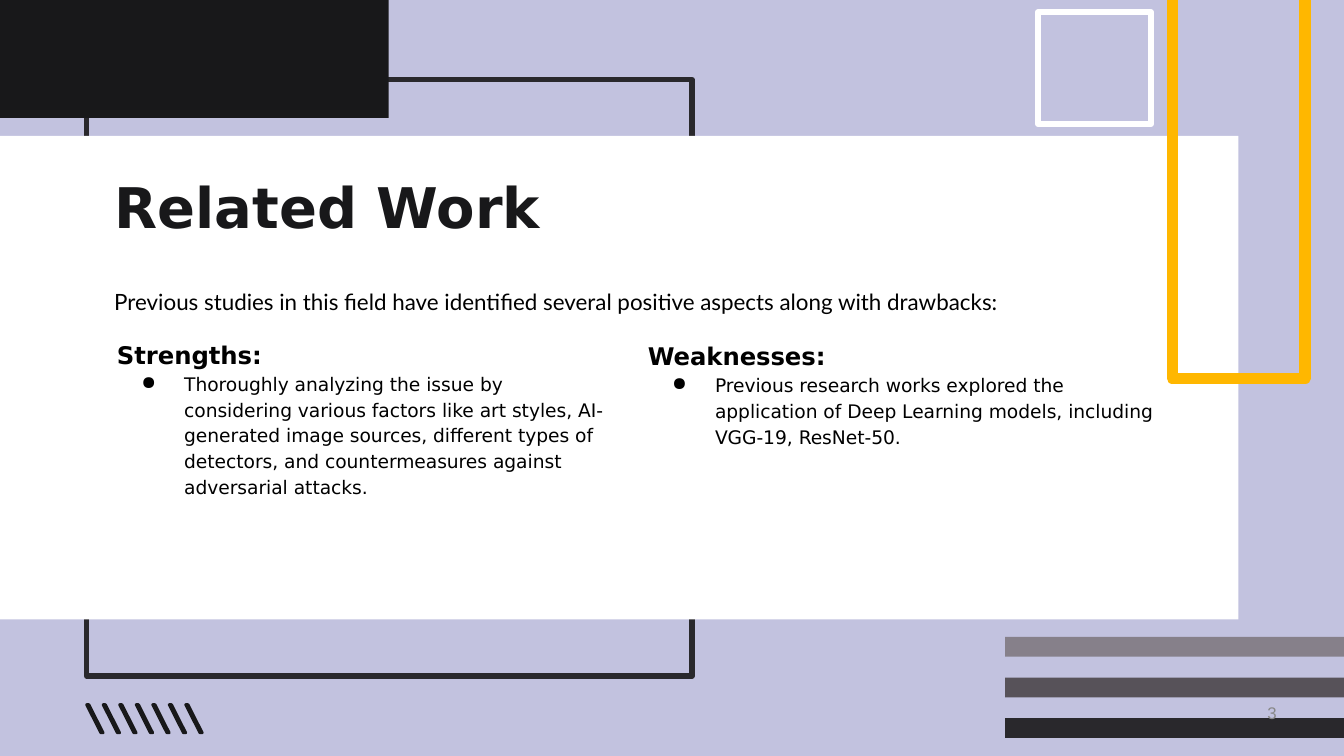
"""Build the Related Work slide with its geometric frame and two text columns."""
from dataclasses import dataclass

from lxml import etree
from pptx import Presentation
from pptx.dml.color import RGBColor
from pptx.enum import shapes as s, text as t
from pptx.oxml import ns
from pptx.util import Pt

INK, DARK, BLACK, WHITE = "18181A", "29282C", "000000", "FFFFFF"
SANS = "DejaVu Sans"


@dataclass
class Box:
    x: float
    y: float
    w: float
    h: float
    fill: str = ""
    line: str = ""
    width: float = 0


@dataclass
class Para:
    words: str
    size: float
    font: str = SANS
    color: str = BLACK
    bold: bool = False
    space: float = 1.0
    right: bool = False
    bullet: str = ""


@dataclass
class Block:
    x: float
    y: float
    w: float
    h: float
    paras: list[Para]
    inset: float = 0
    top: float = 0


def paint(color, value: str) -> None:
    color.rgb = RGBColor.from_string(value)


def style(shape, fill: str, line: str, width: float) -> None:
    shape.shadow.inherit = False
    if fill:
        shape.fill.solid()
        paint(shape.fill.fore_color, fill)
    else:
        shape.fill.background()
    if line:
        paint(shape.line.color, line)
        shape.line.width = Pt(width)
        etree.SubElement(shape.line._get_or_add_ln(), ns.qn("a:round"))
    else:
        shape.line.fill.background()


def draw_box(slide, box: Box) -> None:
    shape = slide.shapes.add_shape(
        s.MSO_SHAPE.RECTANGLE, Pt(box.x), Pt(box.y), Pt(box.w), Pt(box.h))
    style(shape, box.fill, box.line, box.width)


def draw_path(slide, points: list[tuple[float, float]], close: bool,
              fill: str, line: str, width: float) -> None:
    first, *rest = [(Pt(x), Pt(y)) for x, y in points]
    pen = slide.shapes.build_freeform(*first)
    pen.add_line_segments(rest, close=close)
    style(pen.convert_to_shape(), fill, line, width)


def add_bullet(para, mark: str) -> None:
    props = para._p.get_or_add_pPr()
    props.set("marL", str(Pt(36)))
    props.set("indent", str(-Pt(23)))
    tint = etree.SubElement(props, ns.qn("a:buClr"))
    etree.SubElement(tint, ns.qn("a:srgbClr"), val=BLACK)
    etree.SubElement(props, ns.qn("a:buChar"), char=mark)


def draw_text(slide, block: Block) -> None:
    frame = slide.shapes.add_textbox(
        Pt(block.x), Pt(block.y), Pt(block.w), Pt(block.h)).text_frame
    frame.word_wrap = True
    frame.margin_left = frame.margin_right = frame.margin_bottom = Pt(block.inset)
    frame.margin_top = Pt(block.inset + block.top)
    frame.text = "\n".join(item.words for item in block.paras)
    for para, item in zip(frame.paragraphs, block.paras):
        if item.bullet:
            add_bullet(para, item.bullet)
        para.line_spacing = item.space
        para.alignment = t.PP_ALIGN.RIGHT if item.right else t.PP_ALIGN.LEFT
        for run in para.runs:
            run.font.name = item.font
            run.font.size = Pt(item.size)
            run.font.bold = item.bold
            paint(run.font.color, item.color)


def column(x: float, y: float, w: float, head: str, body: str) -> Block:
    return Block(x, y, w, 160.6, [
        Para(head, 13, bold=True, space=1.15),
        Para(body, 10, space=1.15, bullet="●")], inset=7.2)


BACK = [
    Box(0, 0, 720, 405, "C2C2DF"),
    Box(46.4, 42.7, 324.4, 319.4, line=DARK, width=3),
    Box(0, 72.8, 663.4, 259, WHITE),
]
BARS = [Box(538.5, 341.2 + 21.8 * i, 181.5, 10.6, color)
        for i, color in enumerate(["86808A", "575259", DARK])]
FRONT = BARS + [
    Box(0, 0, 208.3, 63.2, INK),
    Box(556, 6.5, 60.7, 60, line=WHITE, width=3),
]
TEXTS = [
    Block(61.5, 91.4, 278, 36.7,
          [Para("Related Work", 30, color=INK, bold=True)], top=0.9),
    Block(61.2, 150.5, 530.6, 16, [Para(
        "Previous studies in this field have identified several positive "
        "aspects along with drawbacks:", 12, "Lato", space=1.2)], top=1.2),
    Block(518.4, 376.6, 165.6, 10.8,
          [Para("3", 9, "Arial", "888888", right=True)]),
    column(55.6, 172.8, 278, "Strengths:",
           "Thoroughly analyzing the issue by considering various factors "
           "like art styles, AI-generated image sources, different types of "
           "detectors, and countermeasures against adversarial attacks."),
    column(340, 173.4, 288, "Weaknesses:",
           "Previous research works explored the application of Deep "
           "Learning models, including VGG-19, ResNet-50."),
]


def main() -> None:
    deck = Presentation()
    deck.slide_width, deck.slide_height = Pt(720), Pt(405)
    slide = deck.slides.add_slide(deck.slide_layouts[6])
    for box in BACK:
        draw_box(slide, box)
    for i in range(7):
        x = 46.4 + 8.85 * i
        draw_path(slide, [(x, 377.5), (x + 7.6, 392.6), (x + 8.9, 392.6),
                          (x + 1.3, 377.5)], True, INK, INK, 1.47)
    for box in FRONT:
        draw_box(slide, box)
    draw_path(slide, [(628, 0), (628, 202.8), (699.2, 202.8), (699.2, 0)],
              False, "", "FFB700", 6)
    for block in TEXTS:
        draw_text(slide, block)
    deck.save("out.pptx")


if __name__ == "__main__":
    main()
